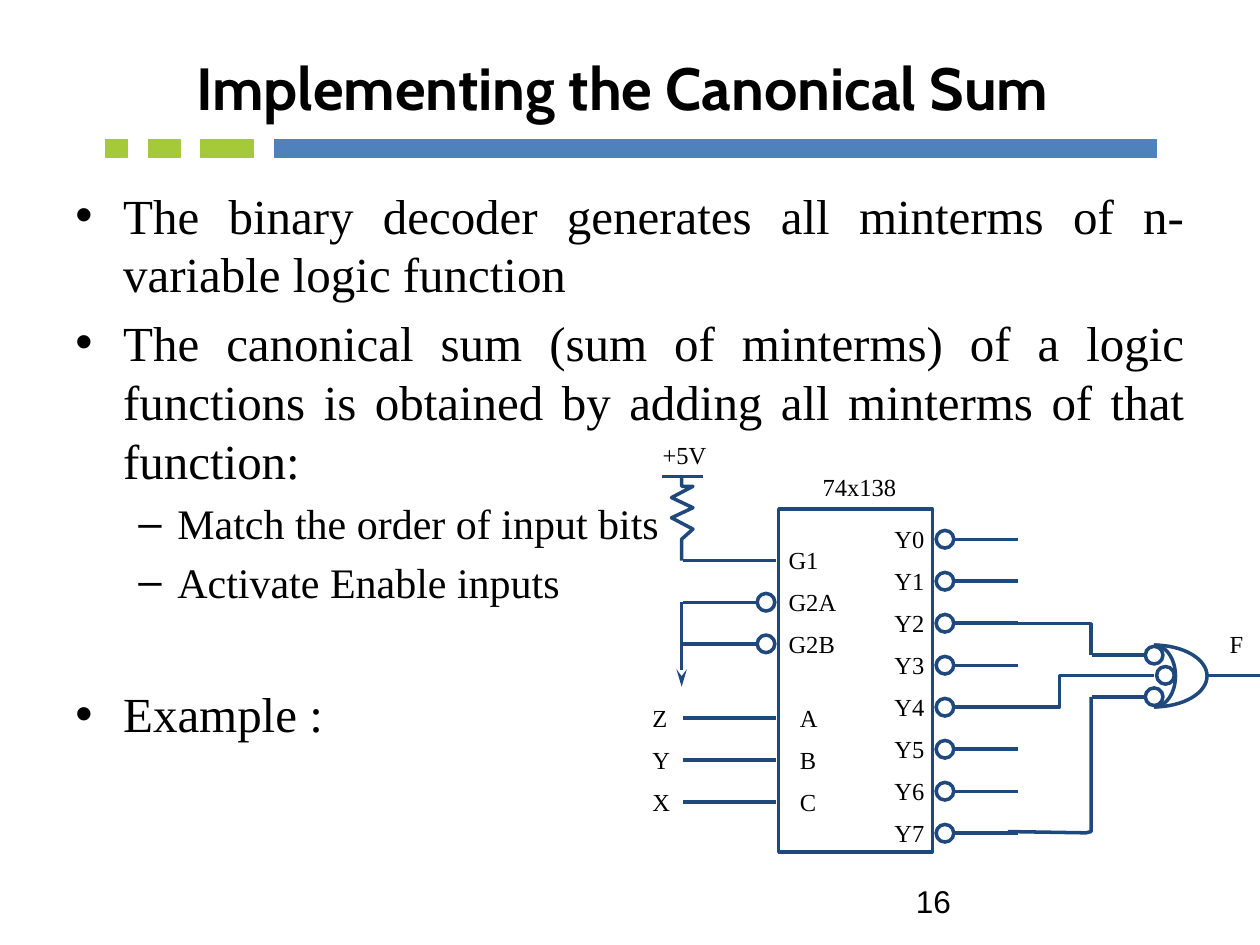
"""Build the slide on implementing a canonical sum with a 74x138 decoder."""
import math
from typing import NamedTuple

from lxml import etree
from pptx import Presentation
from pptx import util as u
from pptx.dml.color import RGBColor
from pptx.enum import shapes, text
from pptx.oxml import ns

NAVY, BLUE, GREEN, BLACK = "1F497D", "4F81BD", "A4CA39", "000000"
SERIF = "Times New Roman"
PITCH = 1 / 3
BUBBLE = 0.14
OUTPUT_TOP = 4.28
GATE_X, GATE_Y, GATE_HEIGHT = 9.16, 5.365, 0.245


class Bullet(NamedTuple):
    words: str
    mark: str
    size: int
    margin: float
    hanging: float
    before: float


class Label(NamedTuple):
    words: str
    left: float
    middle: float
    width: float = 0.58


class Wire(NamedTuple):
    x1: float
    y1: float
    x2: float
    y2: float


BULLETS = [
    Bullet("The binary decoder generates all minterms of n-variable logic function",
           "•", 28, 0.38, 0.38, 0),
    Bullet("The canonical sum (sum of minterms) of a logic functions is obtained "
           "by adding all minterms of that function:", "•", 28, 0.38, 0.38, 5.6),
    Bullet("Match the order of input bits", "–", 24, 0.81, 0.31, 4.8),
    Bullet("Activate Enable inputs", "–", 24, 0.81, 0.31, 4.8),
    Bullet("Example :", "•", 28, 0.38, 0.38, 44),
]
LABELS = [
    Label("+5V", 5.16, 3.61), Label("74x138", 6.43, 3.87, 1.07), Label("F", 9.66, 5.11),
    Label("G1", 6.16, 4.45), Label("G2A", 6.16, 4.78), Label("G2B", 6.16, 5.11),
]
WIRES = [
    Wire(6.16, 4.45, 5.42, 4.45), Wire(6, 4.78, 5.42, 4.78), Wire(6, 5.11, 5.42, 5.11),
    Wire(5.25, 3.78, 5.58, 3.78), Wire(9.08, 5.2, 8.67, 5.2), Wire(9.16, 5.36, 8.67, 5.36),
    Wire(9.08, 5.53, 8.67, 5.53), Wire(10, 5.36, 9.58, 5.36),
]
RESISTOR = [(5.41, 4.45), (5.41, 4.28), (5.5, 4.2), (5.33, 4.11), (5.5, 4.03),
            (5.33, 3.95), (5.5, 3.86), (5.41, 3.86), (5.41, 3.78)]
ROUTES = [
    [(8, 4.95), (8.66, 4.95), (8.66, 5.2)],
    [(8.08, 5.61), (8.41, 5.61), (8.41, 5.36), (8.75, 5.36)],
    [(8.66, 5.53), (8.66, 6.6), (8.62, 6.61), (8, 6.6)],
]
BUBBLES = [(6.08, 4.78), (6.08, 5.11), (9.16, 5.2), (9.25, 5.36), (9.16, 5.53)]


def colour(code: str) -> RGBColor:
    return RGBColor.from_string(code)


def style(target, values: dict) -> None:
    for name, value in values.items():
        setattr(target, name, value)


def set_font(font, name: str, size: float, bold: bool = False) -> None:
    style(font, {"name": name, "size": u.Pt(size), "bold": bold})
    font.color.rgb = colour(BLACK)


def draw_outline(shape, code: str = NAVY, width: float = 2) -> None:
    shape.line.color.rgb = colour(code)
    shape.line.width = u.Pt(width)


def add_box(page, left: float, top: float, width: float, height: float):
    box = page.shapes.add_textbox(*map(u.Inches, (left, top, width, height)))
    box.text_frame.word_wrap = True
    return box.text_frame


def add_text(frame, words: str, name: str, size: float, bold: bool = False):
    para = frame.paragraphs[0]
    span = para.add_run()
    span.text = words
    set_font(span.font, name, size, bold)
    return para


def add_bullets(frame, bullets: list[Bullet]) -> None:
    for index, bullet in enumerate(bullets):
        para = frame.add_paragraph() if index else frame.paragraphs[0]
        props = para._p.get_or_add_pPr()
        props.set("marL", str(u.Inches(bullet.margin)))
        props.set("indent", str(u.Inches(-bullet.hanging)))
        etree.SubElement(props, ns.qn("a:buFont")).set("typeface", "Arial")
        etree.SubElement(props, ns.qn("a:buChar")).set("char", bullet.mark)
        style(para, {"alignment": text.PP_ALIGN.JUSTIFY, "space_before": u.Pt(bullet.before),
                     "level": int(bullet.mark == "–")})
        span = para.add_run()
        span.text = bullet.words
        set_font(span.font, SERIF, bullet.size)


def add_label(page, label: Label) -> None:
    frame = add_box(page, label.left, label.middle - 0.17, label.width, 0.33)
    add_text(frame, label.words, SERIF, 14)


def add_shape(page, kind, left: float, top: float, width: float, height: float):
    shape = page.shapes.add_shape(kind, *map(u.Inches, (left, top, width, height)))
    shape.shadow.inherit = False
    shape.fill.background()
    draw_outline(shape)
    return shape


def add_bar(page, left: float, width: float, code: str) -> None:
    bar = add_shape(page, shapes.MSO_SHAPE.RECTANGLE, left, 1.11, width, 0.14)
    bar.fill.solid()
    bar.fill.fore_color.rgb = colour(code)
    draw_outline(bar, code, 0.75)


def add_bubble(page, x: float, y: float) -> None:
    add_shape(page, shapes.MSO_SHAPE.OVAL, x - BUBBLE / 2, y - BUBBLE / 2, BUBBLE, BUBBLE)


def add_wire(page, wire: Wire, arrow: bool = False) -> None:
    line = page.shapes.add_connector(shapes.MSO_CONNECTOR.STRAIGHT, *map(u.Inches, wire))
    draw_outline(line)
    if arrow:
        head = etree.SubElement(line.line._get_or_add_ln(), ns.qn("a:tailEnd"))
        head.set("type", "stealth")
        head.set("len", "lg")
    etree.SubElement(line._element.spPr, ns.qn("a:effectLst"))


def add_path(page, points: list[tuple[float, float]]) -> None:
    corners = [(u.Inches(x), u.Inches(y)) for x, y in points]
    builder = page.shapes.build_freeform(*corners[0])
    builder.add_line_segments(corners[1:], close=False)
    shape = builder.convert_to_shape()
    shape.shadow.inherit = False
    shape.fill.background()
    draw_outline(shape)


def half_ellipse(radius: float, steps: int = 32) -> list[tuple[float, float]]:
    angles = [math.pi * (step / steps - 0.5) for step in range(steps + 1)]
    return [(GATE_X + radius * math.cos(angle), GATE_Y + GATE_HEIGHT * math.sin(angle))
            for angle in angles]


def draw_circuit(page) -> None:
    add_shape(page, shapes.MSO_SHAPE.RECTANGLE, 6.18, 4.04, 1.22, 2.72)
    for wire in WIRES:
        add_wire(page, wire)
    for label in LABELS:
        add_label(page, label)
    for row in range(8):
        y = OUTPUT_TOP + row * PITCH
        add_label(page, Label(f"Y{row}", 7, y))
        add_wire(page, Wire(8.08, y, 7.58, y))
        add_bubble(page, 7.5, y)
    for row, (signal, pin) in enumerate(zip("ZYX", "ABC")):
        y = 5.7 + row * PITCH
        add_label(page, Label(signal, 5.08, y))
        add_label(page, Label(pin, 6.25, y))
        add_wire(page, Wire(6.16, y, 5.42, y))
    for points in [*ROUTES, RESISTOR, half_ellipse(0.42), half_ellipse(0.17)]:
        add_path(page, points)
    for x, y in BUBBLES:
        add_bubble(page, x, y)
    add_wire(page, Wire(5.41, 4.78, 5.41, 5.45), arrow=True)


def main() -> None:
    deck = Presentation()
    style(deck, {"slide_width": u.Inches(10), "slide_height": u.Inches(7.5)})
    page = deck.slides.add_slide(deck.slide_layouts[6])
    add_bar(page, 2.18, 7, BLUE)
    for left, width in ((0.84, 0.17), (1.18, 0.25), (1.59, 0.42)):
        add_bar(page, left, width, GREEN)
    title = add_box(page, 0.44, 0.3, 9, 0.78)
    title.vertical_anchor = text.MSO_ANCHOR.MIDDLE
    heading = add_text(title, "Implementing the Canonical Sum", "Cabin", 34, bold=True)
    heading.alignment = text.PP_ALIGN.CENTER
    add_bullets(add_box(page, 0.5, 1.42, 9, 5.28), BULLETS)
    add_text(add_box(page, 7.17, 6.95, 2.33, 0.4), "16", "Arial", 18)
    draw_circuit(page)
    deck.save("out.pptx")


if __name__ == "__main__":
    main()
